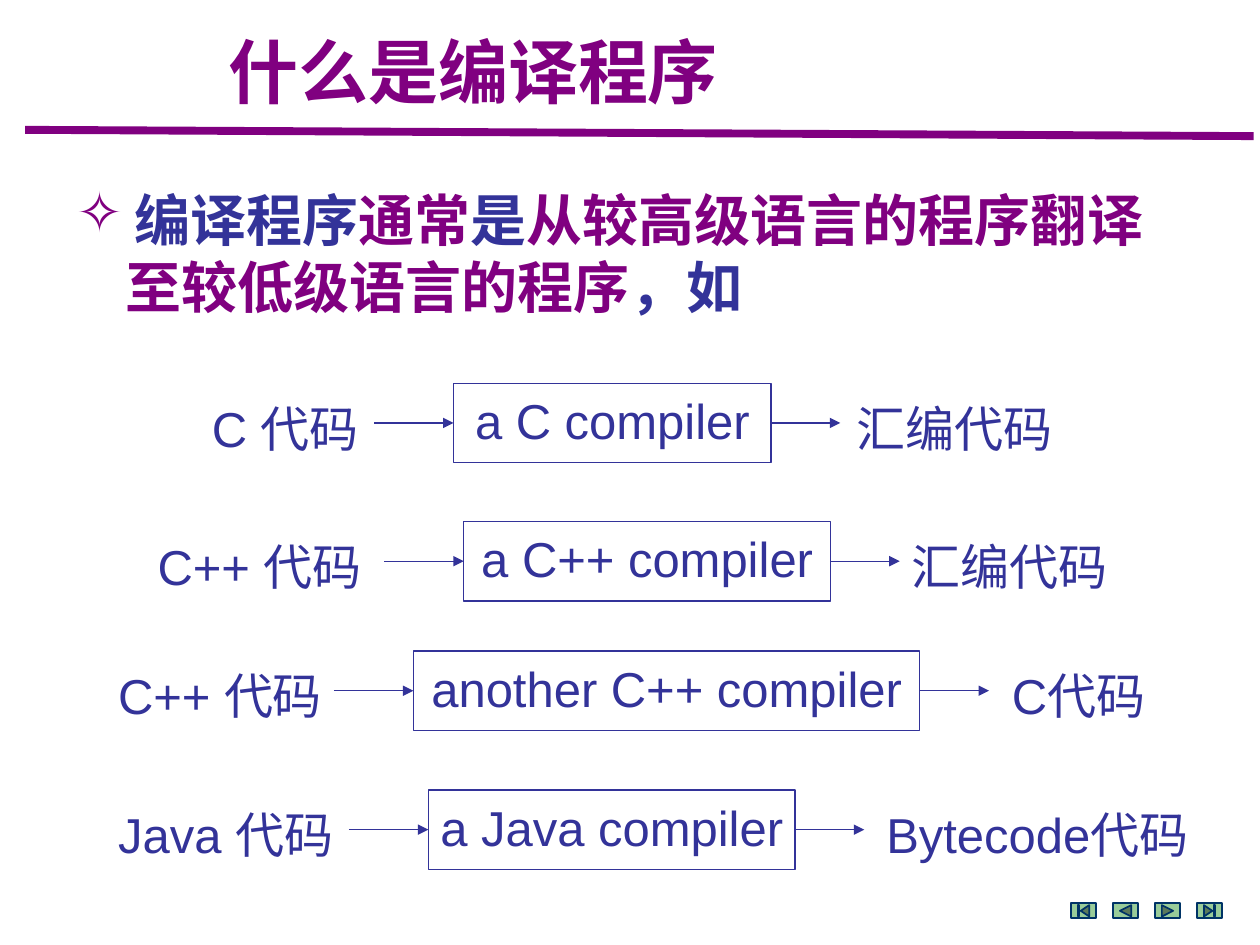
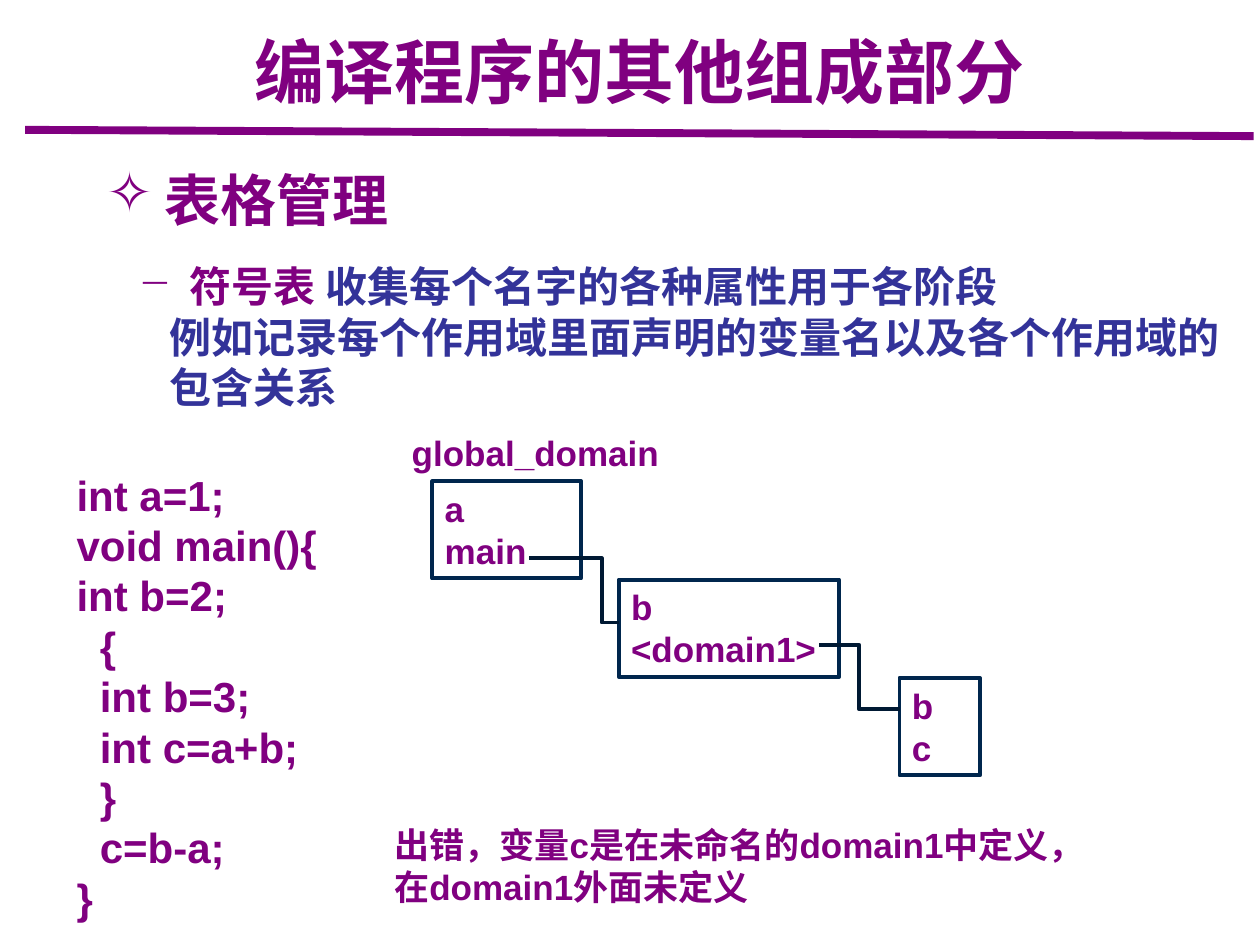
from pptx import Presentation
from pptx.dml.color import RGBColor
from pptx.enum.shapes import MSO_CONNECTOR, MSO_SHAPE
from pptx.enum.text import MSO_ANCHOR, PP_ALIGN
from pptx.oxml.ns import qn
from pptx.util import Pt
from lxml import etree

PURPLE = RGBColor(0x80, 0x00, 0x80)
BLUE = RGBColor(0x33, 0x33, 0x99)
WHITE = RGBColor(0xFF, 0xFF, 0xFF)
NAVY = RGBColor(0x00, 0x26, 0x4D)
DARK_NAVY = RGBColor(0x00, 0x19, 0x33)
BUTTON_GREEN = RGBColor(0x99, 0xCC, 0x99)
BUTTON_EDGE = RGBColor(0x00, 0x33, 0x66)

LATIN_FONT = "Arial"
CHINESE_FONT = "Noto Sans CJK SC"
LINE_FACTOR = 1.2
TIGHT_FACTOR = 1.08

LEFT, CENTER = PP_ALIGN.LEFT, PP_ALIGN.CENTER
TOP, MIDDLE = MSO_ANCHOR.TOP, MSO_ANCHOR.MIDDLE
STRAIGHT, ELBOW = MSO_CONNECTOR.STRAIGHT, MSO_CONNECTOR.ELBOW
RECTANGLE = MSO_SHAPE.RECTANGLE
LEFT_SIDE, RIGHT_SIDE = 1, 3
NAVIGATION_BUTTONS = (
    MSO_SHAPE.ACTION_BUTTON_BEGINNING,
    MSO_SHAPE.ACTION_BUTTON_BACK_OR_PREVIOUS,
    MSO_SHAPE.ACTION_BUTTON_FORWARD_OR_NEXT,
    MSO_SHAPE.ACTION_BUTTON_END,
)

COMPILER_HEIGHT = 45.4
INPUT_ARROW, OUTPUT_ARROW = 45.4, 39.6
COMPILER_ROWS = (
    (219, ("C 代码", 106.5, 113), ("a C compiler", 259.2, 181.4), ("汇编代码", 480.2, 130.3)),
    (298, ("C++ 代码", 72, 152.6), ("a C++ compiler", 265, 209.5), ("汇编代码", 509, 136)),
    (372, ("C++ 代码", 54.7, 142), ("another C++ compiler", 236.2, 289.4), ("C代码", 565.2, 102.2)),
    (451.4, ("Java 代码", 52.6, 152.6), ("a Java compiler", 244.8, 209.5), ("Bytecode代码", 489, 207.4)),
)

CODE_LINES = (
    ("int a=1;", 0), ("void main(){", 0), ("int b=2;", 0),
    ("{", 1), ("int b=3;", 1), ("int c=a+b;", 1), ("}", 1),
    ("c=b-a;", 1), ("}", 0),
)
CODE_INDENT = 13.3


def add_run(paragraph, text, size, color, bold):
    """Append one formatted run to a paragraph."""
    run = paragraph.add_run()
    run.text = text
    run.font.name = LATIN_FONT
    run.font.size = Pt(size)
    run.font.bold = bold
    run.font.color.rgb = color
    etree.SubElement(run.font._element, qn("a:ea"), typeface=CHINESE_FONT)


def add_bullet(paragraph, character):
    """Give a paragraph a purple bullet character."""
    properties = paragraph._p.get_or_add_pPr()
    bullet_color = etree.SubElement(properties, qn("a:buClr"))
    etree.SubElement(bullet_color, qn("a:srgbClr"), val=str(PURPLE))
    etree.SubElement(properties, qn("a:buChar"), char=character)


def add_paragraph(frame, runs, size, bold=True, align=LEFT, factor=LINE_FACTOR,
                  margin=0, hanging=0, before=0, bullet=None):
    """Write (text, color) runs into the next paragraph of a text frame."""
    first = frame.paragraphs[0]
    paragraph = frame.add_paragraph() if first.runs else first
    paragraph.alignment = align
    paragraph.line_spacing = Pt(round(size * factor, 2))
    paragraph.space_before = Pt(before)
    properties = paragraph._p.get_or_add_pPr()
    properties.set("marL", str(Pt(margin)))
    properties.set("indent", str(Pt(-hanging)))
    if bullet:
        add_bullet(paragraph, bullet)
    for text, color in runs:
        add_run(paragraph, text, size, color, bold)


def add_text_box(slide, left, top, width, height):
    """Add a wrapping text box and return its text frame."""
    shape = slide.shapes.add_textbox(Pt(left), Pt(top), Pt(width), Pt(height))
    shape.text_frame.word_wrap = True
    shape.text_frame.margin_top = Pt(6)
    return shape.text_frame


def add_shape(slide, kind, left, top, width, height, fill, edge, weight):
    """Add a preset shape without shadow."""
    shape = slide.shapes.add_shape(kind, Pt(left), Pt(top), Pt(width), Pt(height))
    shape.shadow.inherit = False
    if fill is None:
        shape.fill.background()
    else:
        shape.fill.solid()
        shape.fill.fore_color.rgb = fill
    shape.line.color.rgb = edge
    shape.line.width = Pt(weight)
    return shape


def add_line(slide, start, end, color, weight, kind=STRAIGHT):
    """Add a connector without shadow between two points."""
    connector = slide.shapes.add_connector(kind, *(Pt(value) for value in start + end))
    connector.line.color.rgb = color
    connector.line.width = Pt(weight)
    etree.SubElement(connector._element.spPr, qn("a:effectLst"))
    return connector


def add_arrow(slide, start, end):
    """Add a thin blue arrow pointing at its end."""
    connector = add_line(slide, start, end, BLUE, 0.75)
    line = connector.line._get_or_add_ln()
    etree.SubElement(line, qn("a:tailEnd"), type="triangle")
    return connector


def add_scope_link(slide, start, end, bend):
    """Add an elbow link that turns at a share of its width."""
    connector = add_line(slide, start, end, DARK_NAVY, 2.25, ELBOW)
    geometry = connector._element.spPr.find(qn("a:prstGeom"))
    adjustments = geometry.find(qn("a:avLst"))
    if adjustments is None:
        adjustments = etree.SubElement(geometry, qn("a:avLst"))
    etree.SubElement(adjustments, qn("a:gd"), name="adj1", fmla=f"val {round(bend * 100000)}")


def add_titled_slide(presentation, title, title_width):
    """Add a blank slide with the purple rule and a title."""
    slide = presentation.slides.add_slide(presentation.slide_layouts[6])
    add_line(slide, (14.4, 74.2), (716.4, 77.8), PURPLE, 4.5)
    frame = add_text_box(slide, 118.8, 15.1, title_width, 50.8)
    add_paragraph(frame, [(title, PURPLE)], 40, align=CENTER, factor=TIGHT_FACTOR)
    return slide


def add_navigation(slide):
    """Add the row of navigation buttons at the bottom right."""
    for index, kind in enumerate(NAVIGATION_BUTTONS):
        add_shape(slide, kind, 612 + 24 * index, 516.2, 14.4, 8.6, BUTTON_GREEN, BUTTON_EDGE, 1)


def add_code_label(slide, text, left, width, top):
    """Add the name of a compiler's input or output."""
    frame = add_text_box(slide, left, top, width, 37.4)
    add_paragraph(frame, [(text, BLUE)], 28, bold=False, align=CENTER, factor=TIGHT_FACTOR)


def add_compiler_row(slide, top, source, compiler, target):
    """Add one translation: source, compiler box and target."""
    for text, left, width in (source, target):
        add_code_label(slide, text, left, width, top + 5.8)
    name, left, width = compiler
    box = add_shape(slide, RECTANGLE, left, top, width, COMPILER_HEIGHT, WHITE, BLUE, 0.75)
    box.text_frame.word_wrap = False
    box.text_frame.vertical_anchor = MIDDLE
    add_paragraph(box.text_frame, [(name, BLUE)], 28, bold=False, align=CENTER, factor=TIGHT_FACTOR)
    middle = top + COMPILER_HEIGHT / 2
    right = left + width
    add_arrow(slide, (left - INPUT_ARROW, middle), (left, middle)).end_connect(box, LEFT_SIDE)
    add_arrow(slide, (right, middle), (right + OUTPUT_ARROW, middle)).begin_connect(box, RIGHT_SIDE)


def add_scope_box(slide, left, top, width, names):
    """Add an outlined box listing the names of one scope."""
    box = add_shape(slide, RECTANGLE, left, top, width, 55.6, None, NAVY, 2.25)
    box.text_frame.vertical_anchor = TOP
    box.text_frame.word_wrap = True
    for name in names:
        add_paragraph(box.text_frame, [(name, PURPLE)], 20)


def build_compiler_slide(presentation):
    """Build the slide on what a compiler is."""
    slide = add_titled_slide(presentation, "什么是编译程序", 303.1)
    add_navigation(slide)
    frame = add_text_box(slide, 36.7, 100.1, 640.8, 84.2)
    definition = [("编译程序", BLUE), ("通常", PURPLE), ("是", BLUE),
                  ("从较高级语言的程序翻译", PURPLE)]
    add_paragraph(frame, definition, 32, margin=33, hanging=33, bullet="✧")
    add_paragraph(frame, [("至较低级语言的程序", PURPLE), ("，如", BLUE)], 32, margin=28)
    for row in COMPILER_ROWS:
        add_compiler_row(slide, *row)


def build_symbol_table_slide(presentation):
    """Build the slide on symbol tables and scopes."""
    slide = add_titled_slide(presentation, "编译程序的其他组成部分", 493.2)
    outline = add_text_box(slide, 54, 88.6, 655.2, 150.5)
    add_paragraph(outline, [("表格管理", PURPLE)], 32, margin=33, hanging=33, bullet="✧")
    add_paragraph(outline, [("符号表 ", PURPLE), ("收集每个名字的各种属性用于各阶段", BLUE)],
                  24, margin=47.5, hanging=29.5, before=16, bullet="−")
    add_paragraph(outline, [("例如记录每个作用域里面声明的变量名以及各个作用域的包含关系", BLUE)],
                  24, margin=36)

    code = add_text_box(slide, 36.7, 262.1, 276.5, 269.3)
    for text, level in CODE_LINES:
        add_paragraph(code, [(text, PURPLE)], 24, margin=CODE_INDENT * level)

    domain = add_text_box(slide, 212.4, 240.5, 187.2, 31.7)
    add_paragraph(domain, [("global_domain", PURPLE)], 20, align=CENTER)
    add_scope_box(slide, 247, 275, 85, ("a", "main"))
    add_scope_box(slide, 353.5, 331.2, 126, ("b", "<domain1>"))
    add_scope_box(slide, 514, 387.4, 46.1, ("b", "c"))
    add_scope_link(slide, (302.4, 319), (353.5, 355.7), 0.81)
    add_scope_link(slide, (468, 368.6), (514, 405.4), 0.5)

    error = add_text_box(slide, 218.2, 464.4, 391, 55.4)
    for text in ("出错，变量c是在未命名的domain1中定义，", "在domain1外面未定义"):
        add_paragraph(error, [(text, PURPLE)], 20)


def main():
    """Build both slides and save the presentation."""
    presentation = Presentation()
    presentation.slide_width = Pt(720)
    presentation.slide_height = Pt(540)
    build_compiler_slide(presentation)
    build_symbol_table_slide(presentation)
    presentation.save("out.pptx")


if __name__ == "__main__":
    main()
